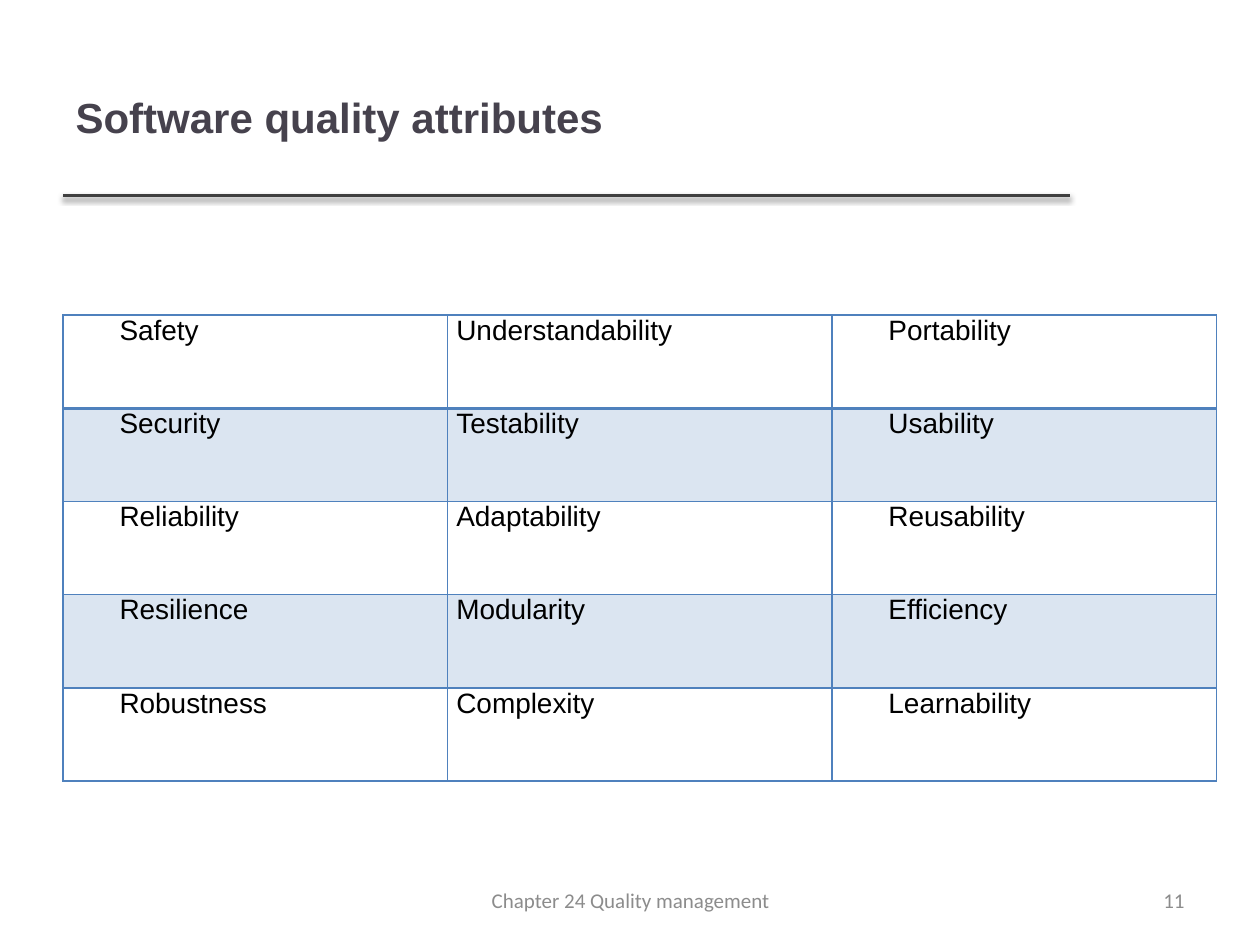
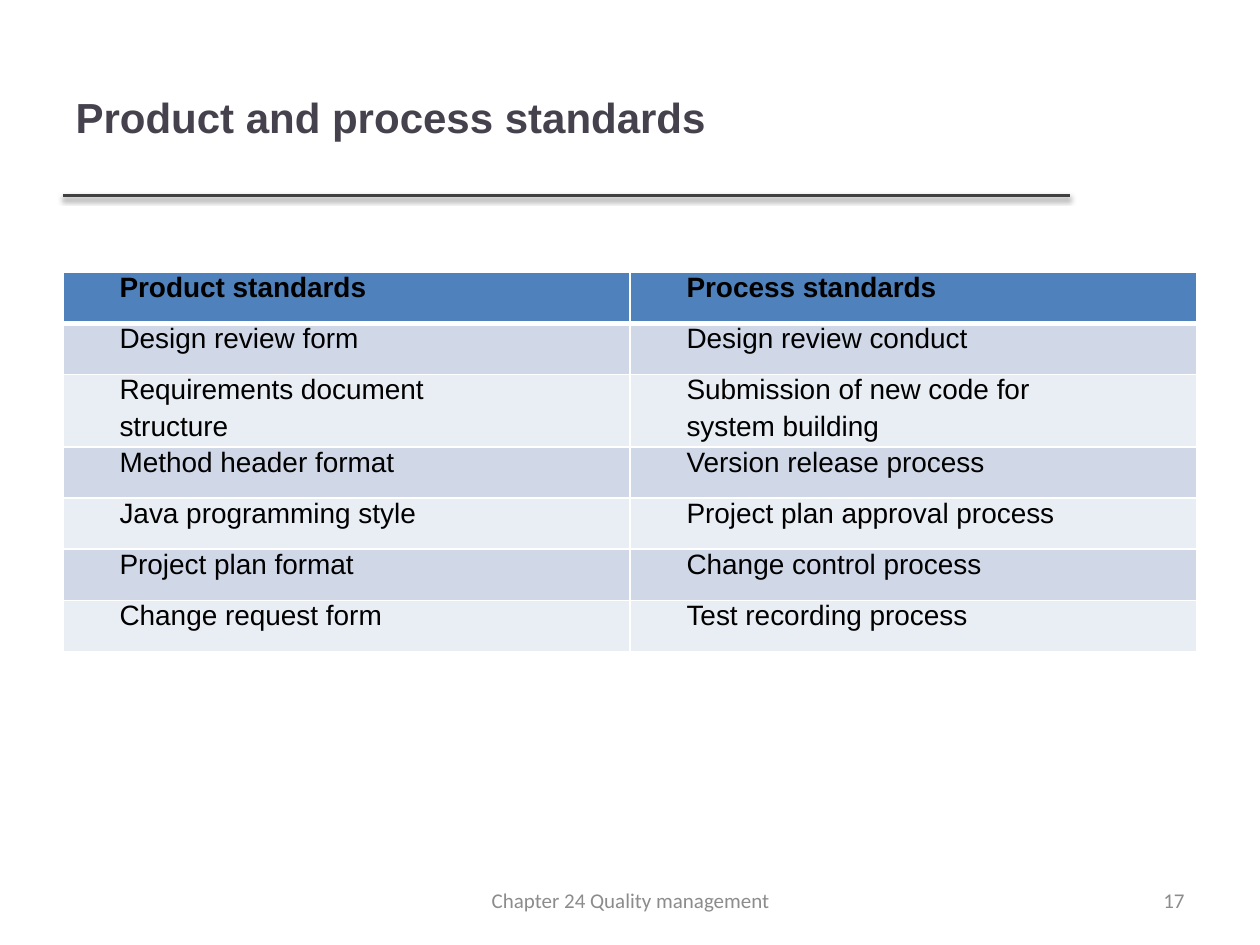
from lxml import etree
from pptx import Presentation
from pptx import util as u
from pptx.dml.color import RGBColor
from pptx.enum import text
from pptx.oxml import parse_xml
from pptx.oxml.ns import nsdecls, qn
from pptx.enum import shapes

HUE = {
    "title": "46424D", "rule": "404040", "foot": "8C8C8C", "ink": "000000",
    "blue": "4F81BD", "white": "FFFFFF", "dark": "D0D8E8", "light": "E9EDF4",
}
LEFT = u.Cm(1.27)
ALIGN = text.PP_ALIGN

TRAITS = [
    ["Safety", "Understandability", "Portability"],
    ["Security", "Testability", "Usability"],
    ["Reliability", "Adaptability", "Reusability"],
    ["Resilience", "Modularity", "Efficiency"],
    ["Robustness", "Complexity", "Learnability"],
]
NORMS = [
    ["Product standards", "Process standards"],
    ["Design review form", "Design review conduct"],
    ["Requirements document\nstructure",
     "Submission of new code for\nsystem building"],
    ["Method header format", "Version release process"],
    ["Java programming style", "Project plan approval process"],
    ["Project plan format", "Change control process"],
    ["Change request form", "Test recording process"],
]


def tint(name):
    return RGBColor.from_string(HUE[name])


def put(para, words, size, face, hue, bold=False):
    run = para.add_run()
    run.text = words
    font = run.font
    font.size, font.name, font.bold = u.Pt(size), face, bold
    font.color.rgb = tint(hue)


# Shared parts: title, rule and footer
def head(slide, words):
    box = slide.shapes.title
    box.left, box.top = LEFT, u.Cm(0.76)
    box.width, box.height = u.Cm(20.27), u.Cm(3.18)
    frame = box.text_frame
    frame.vertical_anchor = text.MSO_ANCHOR.MIDDLE
    para = frame.paragraphs[0]
    para.alignment = ALIGN.LEFT
    put(para, words, 24, "Arial", "title", True)


def rule(slide):
    y = u.Cm(3.94)
    line = slide.shapes.add_connector(
        shapes.MSO_CONNECTOR.STRAIGHT, LEFT, y, u.Cm(21.56), y)
    line.line.color.rgb = tint("rule")
    line.line.width = u.Pt(2)
    line._element.spPr.append(parse_xml(
        f'<a:effectLst {nsdecls("a")}><a:outerShdw blurRad="{u.Pt(3.1)}" '
        f'dist="{u.Pt(1.6)}" dir="5400000" rotWithShape="0">'
        f'<a:srgbClr val="{HUE["ink"]}"><a:alpha val="38000"/></a:srgbClr>'
        '</a:outerShdw></a:effectLst>'))


def note(slide, words, left, width, align):
    box = slide.shapes.add_textbox(
        u.Cm(left), u.Cm(17.65), u.Cm(width), u.Cm(1.01))
    frame = box.text_frame
    frame.word_wrap = True
    frame.vertical_anchor = text.MSO_ANCHOR.MIDDLE
    para = frame.paragraphs[0]
    para.alignment = align
    put(para, words, 12, "Calibri", "foot")


def page(deck, title, num):
    slide = deck.slides.add_slide(deck.slide_layouts[5])
    rule(slide)
    head(slide, title)
    note(slide, num, 18.21, 5.92, ALIGN.RIGHT)
    note(slide, "Chapter 24 Quality management", 8.69, 8.05, ALIGN.CENTER)
    return slide


# Table parts
def edge(cell, hue, top, base):
    props = cell._tc.get_or_add_tcPr()
    for side, width in zip("LRTB", (1, 1, top, base)):
        props.append(parse_xml(
            f'<a:ln{side} {nsdecls("a")} w="{u.Pt(width)}"><a:solidFill>'
            f'<a:srgbClr val="{HUE[hue]}"/></a:solidFill></a:ln{side}>'))


def paint(cell, hue, alpha=None):
    if hue is None:
        cell.fill.background()
        return
    cell.fill.solid()
    cell.fill.fore_color.rgb = tint(hue)
    if alpha:
        clr = cell._tc.tcPr.find(qn("a:solidFill"))[0]
        etree.SubElement(clr, qn("a:alpha")).set("val", str(alpha * 1000))


def write(cell, words, bold, align, dent, before, after):
    cell.margin_left = cell.margin_right = u.Cm(0.18)
    cell.margin_top = cell.margin_bottom = 0
    frame = cell.text_frame
    for i, line in enumerate(words.split("\n")):
        para = frame.add_paragraph() if i else frame.paragraphs[0]
        para.alignment = align
        para.space_before, para.space_after = u.Pt(before), u.Pt(after)
        props = para._p.get_or_add_pPr()
        props.set("marL", "0")
        props.set("indent", str(u.Cm(0.96) if dent else 0))
        put(para, line, 16, "Arial", "ink", bold)


def grid(slide, rows, top, wide, high):
    """Add a bare table and return its cells with their positions."""
    cols = len(rows[0])
    table = slide.shapes.add_table(
        len(rows), cols, LEFT, u.Cm(top),
        u.Cm(wide * cols), u.Cm(high * len(rows))).table
    table.first_row = table.horz_banding = False
    return [(r, c, table.cell(r, c))
            for r in range(len(rows)) for c in range(cols)]


def traits(slide):
    last = len(TRAITS) - 1
    for r, c, cell in grid(slide, TRAITS, 6.35, 7.75, 1.88):
        write(cell, TRAITS[r][c], False, ALIGN.JUSTIFY, c != 1,
              3, 3 if r == last else 0)
        edge(cell, "blue", 2 if r == 1 else 1, 2 if r == 0 else 1)
        paint(cell, "blue" if r % 2 else None, 20)


def norms(slide):
    for r, c, cell in grid(slide, NORMS, 5.49, 11.43, 1.03):
        top = r == 0
        align = ALIGN.JUSTIFY if top or c else ALIGN.LEFT
        write(cell, NORMS[r][c], top, align, True, 3 if top else 0, 3)
        edge(cell, "white", 3 if r == 1 else 1, 3 if top else 1)
        paint(cell, "blue" if top else "dark" if r % 2 else "light")


def main():
    deck = Presentation()
    deck.slide_width, deck.slide_height = u.Cm(25.4), u.Cm(19.05)
    traits(page(deck, "Software quality attributes", "11"))
    norms(page(deck, "Product and process standards", "17"))
    deck.save("out.pptx")


if __name__ == "__main__":
    main()
